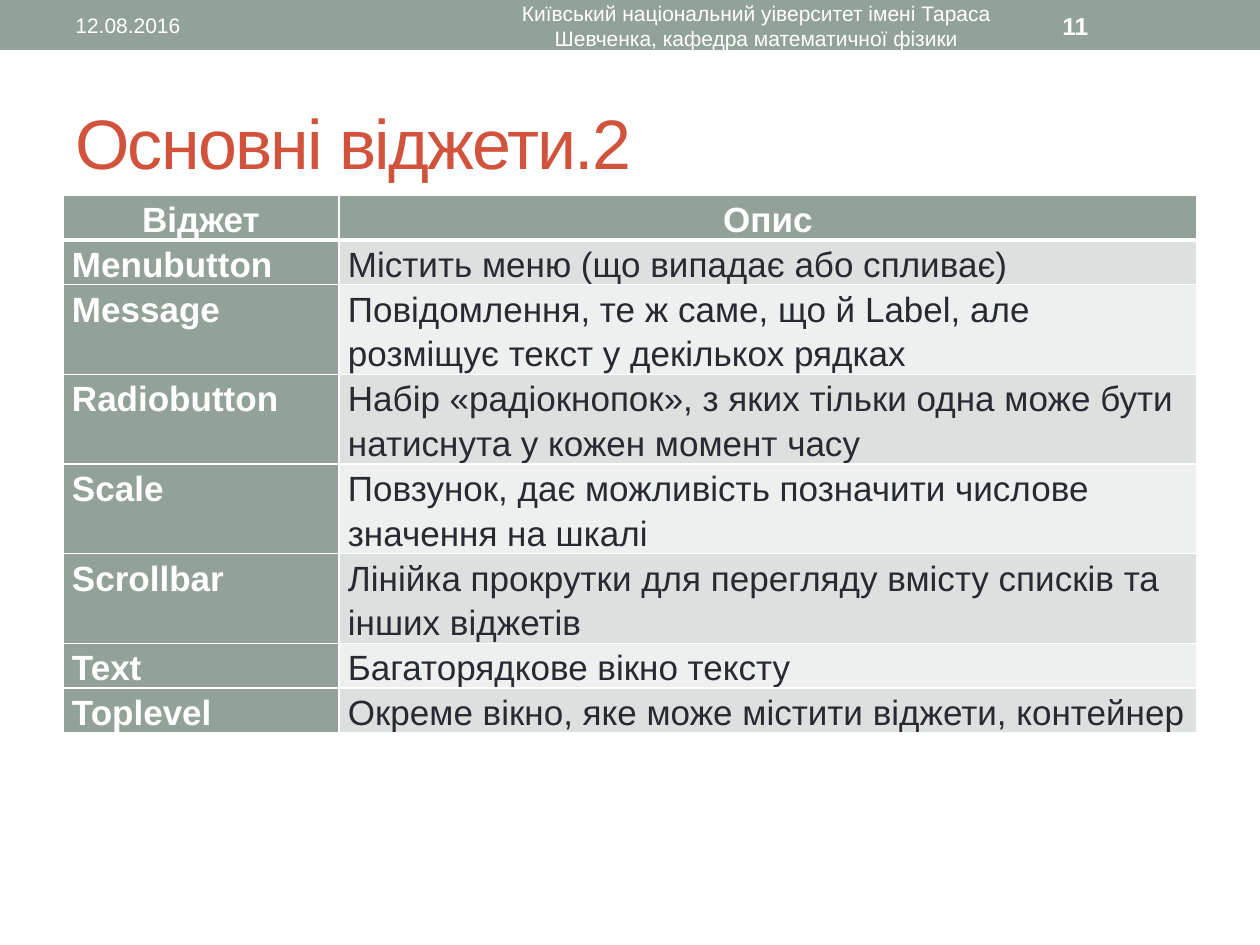
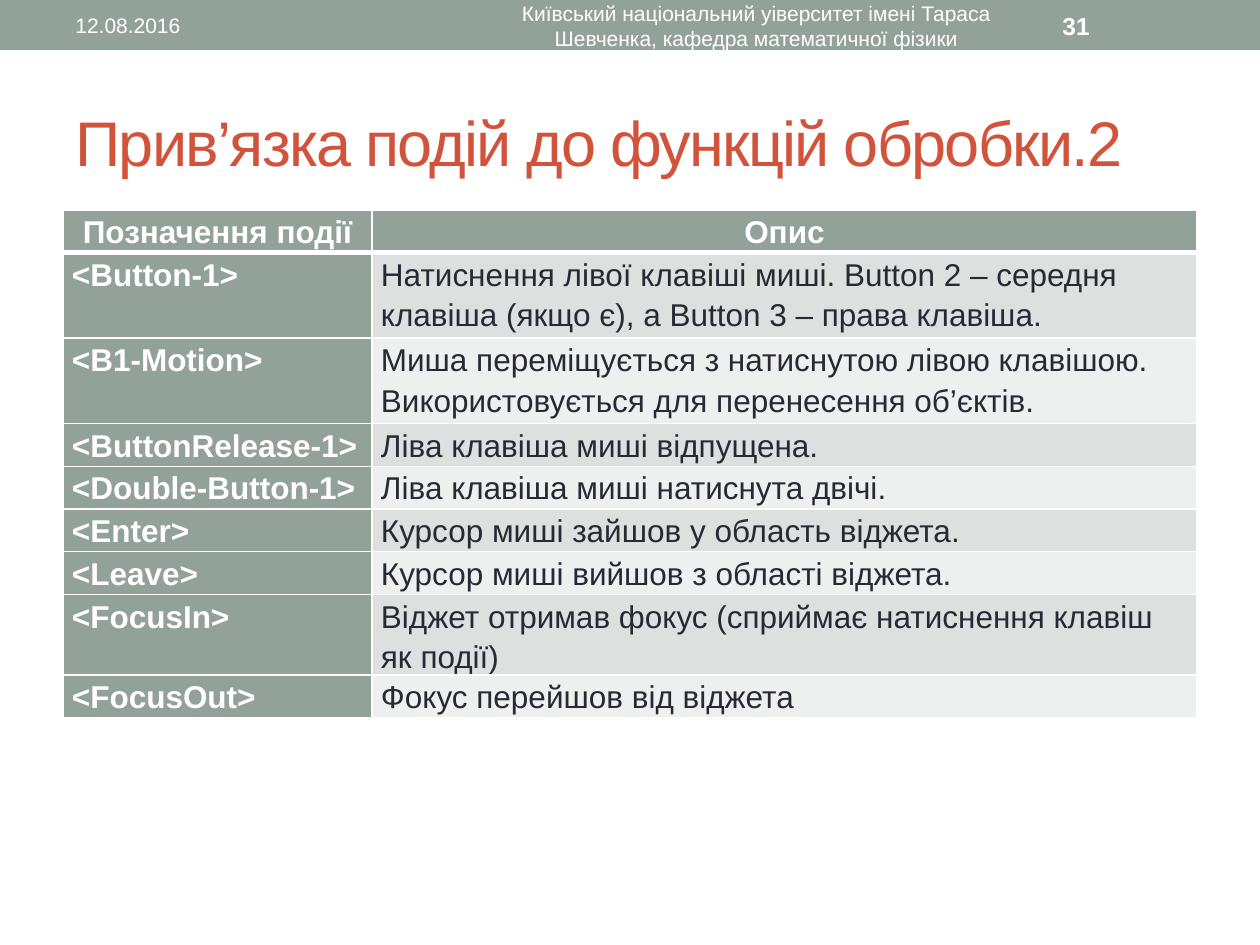
from lxml import etree
from pptx import Presentation
from pptx.dml.color import RGBColor
from pptx.enum.shapes import MSO_SHAPE
from pptx.enum.text import MSO_ANCHOR, PP_ALIGN
from pptx.oxml.ns import qn
from pptx.util import Emu, Pt

RECTANGLE = MSO_SHAPE.RECTANGLE
MIDDLE = MSO_ANCHOR.MIDDLE
LEFT, CENTER = PP_ALIGN.LEFT, PP_ALIGN.CENTER

PX_PER_INCH = 126
SLIDE_WIDTH, SLIDE_HEIGHT = 1260, 945
MARGIN = 63
CONTENT_WIDTH = SLIDE_WIDTH - 2 * MARGIN
BAND_HEIGHT = 50
BAND_TEXT_TOP, BAND_TEXT_HEIGHT = 3, 45
FONT = "Arial"
CELL_LINE_FACTOR = 1.28
BLANK_LAYOUT = 6
COLORS = {
    "sage": "93A299",
    "title": "D2533C",
    "text": "292934",
    "white": "FFFFFF",
    "odd_row": "DCE0DE",
    "even_row": "EEF0EF",
}
DATE = "12.08.2016"
DEPARTMENT = (
    "Київський національний уіверситет імені Тараса Шевченка, "
    "кафедра математичної фізики"
)

WIDGETS = [
    ("Віджет", "Опис", 1),
    ("Menubutton", "Містить меню (що випадає або спливає)", 1),
    ("Message", "Повідомлення, те ж саме, що й Label, але розміщує текст у декількох рядках", 2),
    ("Radiobutton", "Набір «радіокнопок», з яких тільки одна може бути натиснута у кожен момент часу", 2),
    ("Scale", "Повзунок, дає можливість позначити числове значення на шкалі", 2),
    ("Scrollbar", "Лінійка прокрутки для перегляду вмісту списків та інших віджетів", 2),
    ("Text", "Багаторядкове вікно тексту", 1),
    ("Toplevel", "Окреме вікно, яке може містити віджети, контейнер", 1),
]
EVENTS = [
    ("Позначення події", "Опис", 1),
    ("<Button-1>", "Натиснення лівої клавіші миші. Button 2 – середня клавіша (якщо є), а Button 3 – права клавіша.", 2),
    ("<B1-Motion>", "Миша переміщується з натиснутою лівою клавішою. Використовується для перенесення об’єктів.", 2),
    ("<ButtonRelease-1>", "Ліва клавіша миші відпущена.", 1),
    ("<Double-Button-1>", "Ліва клавіша миші натиснута двічі.", 1),
    ("<Enter>", "Курсор миші зайшов у область віджета.", 1),
    ("<Leave>", "Курсор миші вийшов з області віджета.", 1),
    ("<FocusIn>", "Віджет отримав фокус (сприймає натиснення клавіш як події)", 1),
    ("<FocusOut>", "Фокус перейшов від віджета", 1),
]


def px(length):
    return Emu(round(length * 914400 / PX_PER_INCH))


def rgb(name):
    return RGBColor.from_string(COLORS[name])


class Deck:
    def __init__(self):
        self.presentation = Presentation()
        self.presentation.slide_width = px(SLIDE_WIDTH)
        self.presentation.slide_height = px(SLIDE_HEIGHT)
        self.slide = None

    def start_slide(self, title, title_size, number):
        layout = self.presentation.slide_layouts[BLANK_LAYOUT]
        self.slide = self.presentation.slides.add_slide(layout)
        self.band()
        self.text(title, MARGIN, 73, CONTENT_WIDTH, 136, title_size, "title", spacing=-1)
        self.band_text(DATE, MARGIN, 399, 12)
        self.band_text(DEPARTMENT, 473, 567, 12, align=CENTER)
        self.band_text(str(number), 1050, 147, 14, bold=True)

    def band(self):
        shape = self.slide.shapes.add_shape(RECTANGLE, 0, 0, px(SLIDE_WIDTH), px(BAND_HEIGHT))
        shape.shadow.inherit = False
        shape.fill.solid()
        shape.fill.fore_color.rgb = rgb("sage")
        shape.line.fill.background()

    def band_text(self, text, left, width, size, **style):
        self.text(text, left, BAND_TEXT_TOP, width, BAND_TEXT_HEIGHT, size, **style)

    def run(self, paragraph, text, size, color, bold=False):
        run = paragraph.add_run()
        run.text = text
        run.font.name = FONT
        run.font.size = Pt(size)
        run.font.bold = bold
        run.font.color.rgb = rgb(color)
        return run

    def text(self, text, left, top, width, height, size, color="white",
             bold=False, align=LEFT, spacing=0):
        shape = self.slide.shapes.add_textbox(px(left), px(top), px(width), px(height))
        frame = shape.text_frame
        frame.word_wrap = True
        frame.vertical_anchor = MIDDLE
        paragraph = frame.paragraphs[0]
        paragraph.alignment = align
        run = self.run(paragraph, text, size, color, bold)
        if spacing:
            run.font._element.set("spc", str(spacing * 100))

    def borders(self, cell, row_index):
        properties = cell._tc.get_or_add_tcPr()
        thick_side = {0: "lnB", 1: "lnT"}.get(row_index)
        for side in ("lnL", "lnR", "lnT", "lnB"):
            width = Pt(3 if side == thick_side else 1)
            line = etree.SubElement(properties, qn(f"a:{side}"), w=str(width))
            fill = etree.SubElement(line, qn("a:solidFill"))
            etree.SubElement(fill, qn("a:srgbClr"), val=COLORS["white"])

    def cell(self, cell, text, size, row_index, column_index):
        is_header = row_index == 0
        is_label = is_header or column_index == 0
        stripe = "odd_row" if row_index % 2 else "even_row"
        cell.margin_left = cell.margin_right = px(9)
        cell.margin_top = cell.margin_bottom = 0
        self.borders(cell, row_index)
        cell.fill.solid()
        cell.fill.fore_color.rgb = rgb("sage" if is_label else stripe)
        paragraph = cell.text_frame.paragraphs[0]
        paragraph.alignment = CENTER if is_header else LEFT
        paragraph.line_spacing = Pt(size * CELL_LINE_FACTOR)
        self.run(paragraph, text, size, "white" if is_label else "text", is_label)

    def table(self, rows, top, height, label_width, size):
        table = self.slide.shapes.add_table(
            len(rows), 2, px(MARGIN), px(top), px(CONTENT_WIDTH), px(height)
        ).table
        table.first_row = table.horz_banding = False
        table.columns[0].width = px(label_width)
        table.columns[1].width = px(CONTENT_WIDTH - label_width)
        line_height = height / sum(lines for _, _, lines in rows)
        for row_index, (label, description, lines) in enumerate(rows):
            table.rows[row_index].height = px(lines * line_height)
            for column_index, text in enumerate((label, description)):
                cell = table.cell(row_index, column_index)
                self.cell(cell, text, size, row_index, column_index)


def main():
    deck = Deck()
    deck.start_slide("Основні віджети.2", 40, 11)
    deck.table(WIDGETS, top=195, height=538, label_width=276, size=20)
    deck.start_slide("Прив’язка подій до функцій обробки.2", 36, 31)
    deck.table(EVENTS, top=210, height=470, label_width=309, size=18)
    deck.presentation.save("out.pptx")


if __name__ == "__main__":
    main()
